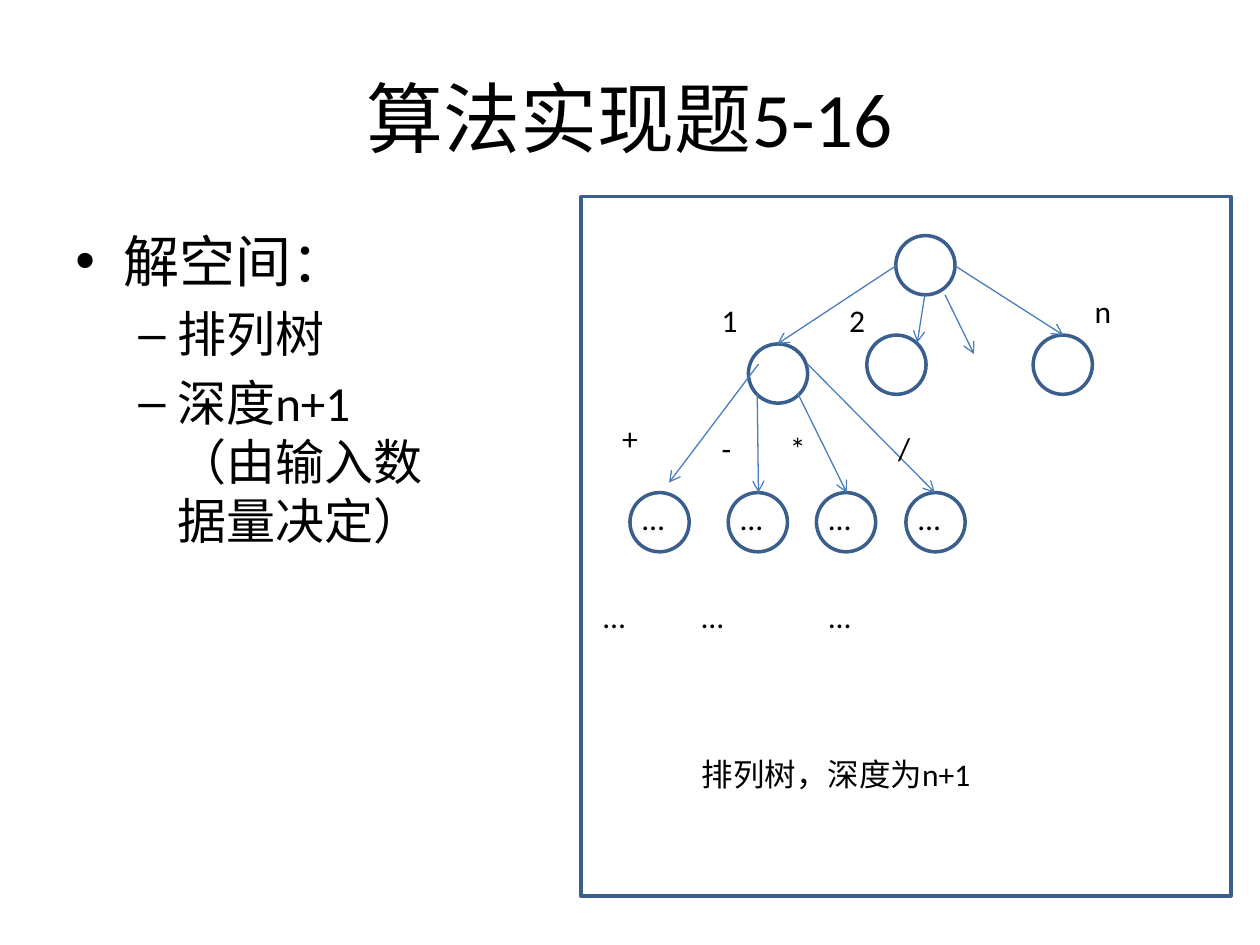
from lxml.etree import SubElement
from pptx import Presentation
from pptx.dml.color import RGBColor
from pptx.enum.shapes import MSO_CONNECTOR, MSO_SHAPE
from pptx.enum.text import MSO_ANCHOR, MSO_AUTO_SIZE, PP_ALIGN
from pptx.oxml.ns import qn
from pptx.util import Inches, Pt

BLACK = RGBColor(0x00, 0x00, 0x00)
WHITE = RGBColor(0xFF, 0xFF, 0xFF)
OUTLINE = RGBColor(0x3A, 0x5F, 0x8C)
ARROW = RGBColor(0x4B, 0x7E, 0xBC)

NODE_SIZE = 0.47
LEAF_TOP = 3.91
LEAF_LEFTS = (5, 5.78, 6.48, 7.19)
UPPER_NODES = ((7.11, 1.87), (5.94, 2.73), (6.88, 2.66), (8.2, 2.66))
EDGES = (
    ((7.11, 2.11), (6.17, 2.73)),
    ((7.34, 2.34), (7.28, 2.72)),
    ((7.5, 2.34), (7.73, 2.81)),
    ((7.58, 2.11), (8.44, 2.66)),
    ((6.01, 3.13), (6.02, 3.91)),
    ((6.02, 2.89), (5.31, 3.83)),
    ((6.33, 3.12), (6.72, 3.91)),
    ((6.41, 2.89), (7.42, 3.91)),
)
EDGE_LABELS = (
    ("1", 5.63, 2.34), ("n", 8.59, 2.27), ("2", 6.64, 2.34),
    ("+", 4.84, 3.28), ("-", 5.63, 3.36), ("*", 6.17, 3.36), ("/", 7.03, 3.36),
)
DEEPER_LEVELS = ((4.69, 4.69), (5.47, 4.69), (6.48, 4.69))
OUTLINE_ITEMS = (
    ("解空间：", 0),
    ("排列树", 1),
    ("深度n+1（由输入数据量决定）", 1),
)
BULLETS = (("•", 32, 0.38, 0.38), ("–", 28, 0.81, 0.31))


class TreeSlide:
    font = "Calibri"

    def __init__(self, deck):
        self.page = deck.slides.add_slide(deck.slide_layouts[5])

    def add_run(self, para, text, size):
        span = para.add_run()
        span.text = text
        span.font.name = self.font
        span.font.size = Pt(size)
        span.font.color.rgb = BLACK

    def title(self, text, left, top, width, height):
        box = self.page.shapes.title
        box.left, box.top = Inches(left), Inches(top)
        box.width, box.height = Inches(width), Inches(height)
        box.text_frame.vertical_anchor = MSO_ANCHOR.MIDDLE
        para = box.text_frame.paragraphs[0]
        para.alignment = PP_ALIGN.CENTER
        self.add_run(para, text, 44)

    def text_box(self, left, top, width, height):
        box = self.page.shapes.add_textbox(
            Inches(left), Inches(top), Inches(width), Inches(height))
        box.text_frame.word_wrap = True
        return box.text_frame

    def label(self, text, left, top, width=NODE_SIZE):
        frame = self.text_box(left, top, width, 0.4)
        frame.auto_size = MSO_AUTO_SIZE.SHAPE_TO_FIT_TEXT
        self.add_run(frame.paragraphs[0], text, 18)

    def bullet_list(self, items, left, top, width, height):
        frame = self.text_box(left, top, width, height)
        for index, (text, level) in enumerate(items):
            para = frame.add_paragraph() if index else frame.paragraphs[0]
            symbol, size, margin, hanging = BULLETS[level]
            para.level = level
            para.space_before = Pt(size * 0.2)
            properties = para._p.get_or_add_pPr()
            properties.set("marL", str(Inches(margin)))
            properties.set("indent", str(-Inches(hanging)))
            SubElement(properties, qn("a:buFont")).set("typeface", "Arial")
            SubElement(properties, qn("a:buChar")).set("char", symbol)
            self.add_run(para, text, size)

    def outlined(self, kind, left, top, width, height, fill=None):
        shape = self.page.shapes.add_shape(
            kind, Inches(left), Inches(top), Inches(width), Inches(height))
        shape.shadow.inherit = False
        if fill is None:
            shape.fill.background()
        else:
            shape.fill.solid()
            shape.fill.fore_color.rgb = fill
        shape.line.color.rgb = OUTLINE
        shape.line.width = Pt(2)

    def node(self, left, top):
        self.outlined(MSO_SHAPE.OVAL, left, top, NODE_SIZE, NODE_SIZE)

    def arrow(self, start, end):
        points = [Inches(value) for value in start + end]
        connector = self.page.shapes.add_connector(MSO_CONNECTOR.STRAIGHT, *points)
        connector.line.color.rgb = ARROW
        connector.line.width = Pt(0.75)
        SubElement(connector.line._get_or_add_ln(), qn("a:tailEnd")).set("type", "arrow")
        SubElement(connector._element.spPr, qn("a:effectLst"))


def main():
    deck = Presentation()
    deck.slide_width, deck.slide_height = Inches(10), Inches(7.5)
    slide = TreeSlide(deck)
    slide.title("算法实现题5-16", 0.5, 0.3, 9, 1.25)
    slide.bullet_list(OUTLINE_ITEMS, 0.5, 1.75, 3.09, 4.95)
    slide.outlined(MSO_SHAPE.RECTANGLE, 4.61, 1.56, 5.16, 5.55, WHITE)
    for left, top in UPPER_NODES:
        slide.node(left, top)
    for left in LEAF_LEFTS:
        slide.node(left, LEAF_TOP)
    for start, end in EDGES:
        slide.arrow(start, end)
    for text, left, top in EDGE_LABELS:
        slide.label(text, left, top)
    for left in LEAF_LEFTS:
        slide.label("…", left, LEAF_TOP)
    for left, top in DEEPER_LEVELS:
        slide.label("…", left, top)
    slide.label("排列树，深度为n+1", 5.47, 5.94, 2.89)
    deck.save("out.pptx")


if __name__ == "__main__":
    main()
